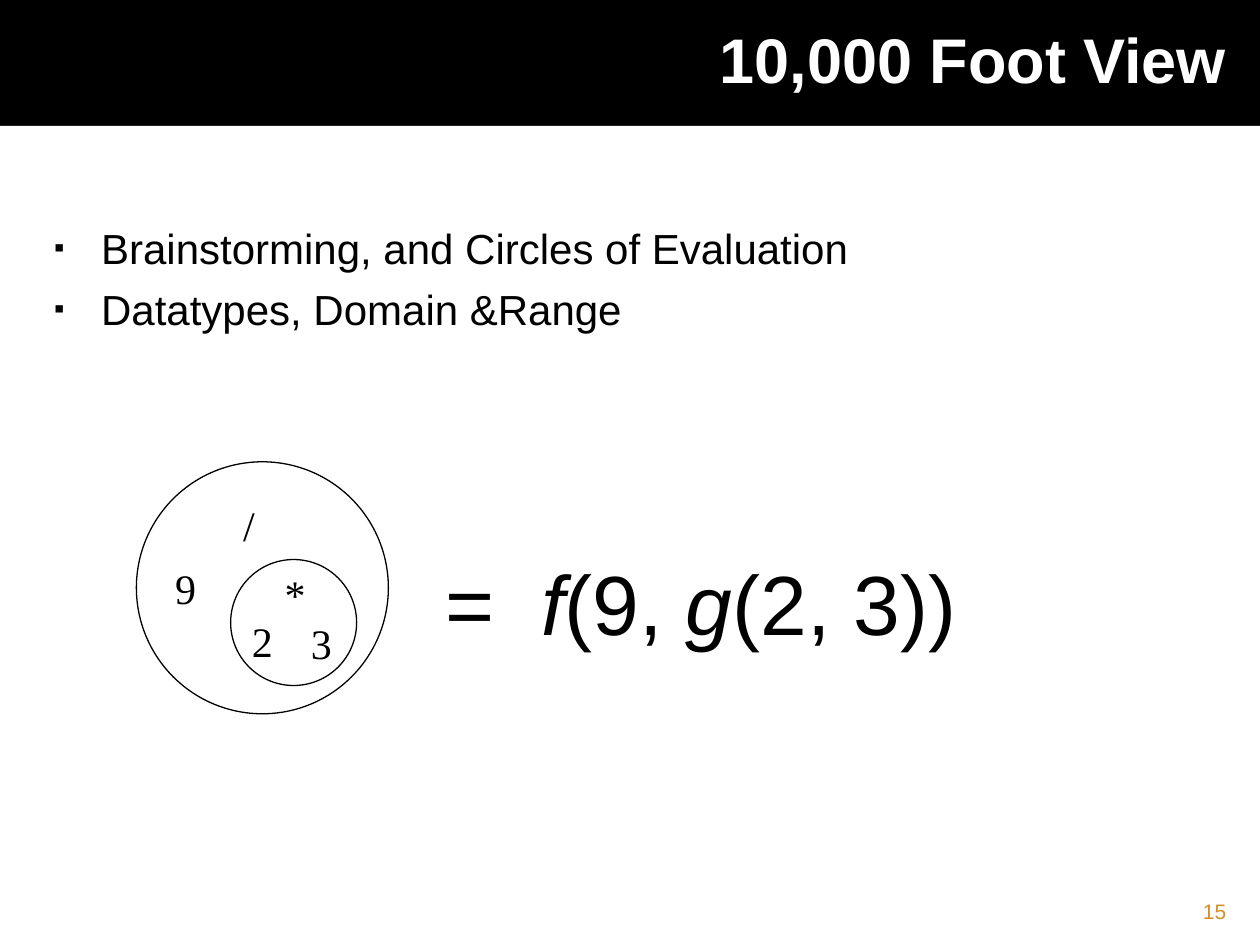
from lxml import etree
from pptx import Presentation
from pptx.dml.color import RGBColor
from pptx.enum.shapes import MSO_SHAPE
from pptx.enum.text import MSO_ANCHOR, PP_ALIGN
from pptx.oxml.ns import qn
from pptx.util import Cm, Pt

RECTANGLE, OVAL = MSO_SHAPE.RECTANGLE, MSO_SHAPE.OVAL
LEFT, RIGHT = PP_ALIGN.LEFT, PP_ALIGN.RIGHT
TOP, MIDDLE = MSO_ANCHOR.TOP, MSO_ANCHOR.MIDDLE
SANS, SERIF = "Arial", "Times New Roman"
COLORS = {"black": "000000", "white": "FFFFFF", "gold": "D38E27"}


def color(name):
    """Return the named colour."""
    return RGBColor.from_string(COLORS[name])


def add_panel(slide, kind, left, top, width, height, outline=None):
    """Add a white shape with an optional thin outline."""
    shape = slide.shapes.add_shape(kind, Cm(left), Cm(top), Cm(width), Cm(height))
    shape.shadow.inherit = False
    shape.fill.solid()
    shape.fill.fore_color.rgb = color("white")
    if outline:
        shape.line.color.rgb = color(outline)
        shape.line.width = Pt(0.75)
    else:
        shape.line.fill.background()


def add_frame(slide, left, top, width, height, anchor=TOP):
    """Add a wrapping text box and return its text frame."""
    frame = slide.shapes.add_textbox(Cm(left), Cm(top), Cm(width), Cm(height)).text_frame
    frame.word_wrap = True
    frame.vertical_anchor = anchor
    return frame


def style(paragraph, size, ink="black", font=SANS, bold=False, align=LEFT):
    """Set the font and alignment of a paragraph."""
    paragraph.alignment = align
    paragraph.font.name = font
    paragraph.font.size = Pt(size)
    paragraph.font.bold = bold
    paragraph.font.color.rgb = color(ink)


def add_bullets(frame, lines):
    """Fill a frame with small square bullets."""
    for index, line in enumerate(lines):
        paragraph = frame.add_paragraph() if index else frame.paragraphs[0]
        paragraph.text = line
        properties = paragraph._p.get_or_add_pPr()
        properties.set("marL", str(Cm(0.95)))
        properties.set("indent", str(Cm(-0.95)))
        bullet_color = etree.SubElement(properties, qn("a:buClr"))
        etree.SubElement(bullet_color, qn("a:srgbClr"), val=COLORS["black"])
        etree.SubElement(properties, qn("a:buSzPct"), val="70000")
        etree.SubElement(properties, qn("a:buFont"), typeface=SANS)
        etree.SubElement(properties, qn("a:buChar"), char="▪")
        paragraph.space_before = Pt(6 if index else 0)
        style(paragraph, 24)


def add_symbol(slide, text, left, top):
    """Add one number or operator of the circles of evaluation."""
    frame = add_frame(slide, left, top, 0.82, 1.1)
    frame.margin_left = frame.margin_right = frame.margin_top = frame.margin_bottom = 0
    frame.paragraphs[0].text = text
    style(frame.paragraphs[0], 24, font=SERIF)


def add_formula(slide):
    """Add the function notation, with italic function names."""
    frame = add_frame(slide, 8.26, 11, 11.86, 2.31)
    frame.margin_left = Cm(0.72)
    paragraph = frame.paragraphs[0]
    tabs = etree.SubElement(paragraph._p.get_or_add_pPr(), qn("a:tabLst"))
    etree.SubElement(tabs, qn("a:tab"), pos=str(Cm(1.93)), algn="l")
    style(paragraph, 48)
    for text in ("=\t", "f", "(9, ", "g", "(2, 3))"):
        run = paragraph.add_run()
        run.text = text
        run.font.italic = text.isalpha()


def main():
    """Build the slide and save it."""
    presentation = Presentation()
    presentation.slide_width, presentation.slide_height = Cm(25.4), Cm(19.05)
    slide = presentation.slides.add_slide(presentation.slide_layouts[6])
    slide.background.fill.solid()
    slide.background.fill.fore_color.rgb = color("black")
    add_panel(slide, RECTANGLE, 0, 2.54, 25.4, 16.51)

    title = add_frame(slide, 0.84, 0, 24.13, 2.34, MIDDLE).paragraphs[0]
    title.text = "10,000 Foot View"
    style(title, 36, "white", bold=True, align=RIGHT)

    body = add_frame(slide, 0.84, 4.36, 24.13, 12.57)
    add_bullets(body, ["Brainstorming, and Circles of Evaluation",
                       "Datatypes, Domain &Range"])

    for left, top, diameter in ((2.75, 9.31, 5.08), (4.65, 11.28, 2.54)):
        add_panel(slide, OVAL, left, top, diameter, diameter, "black")
    for text, left, top in (("/", 4.9, 10.08), ("9", 3.53, 11.35), ("*", 5.74, 11.46),
                            ("2", 5.08, 12.4), ("3", 6.27, 12.45)):
        add_symbol(slide, text, left, top)
    add_formula(slide)

    number = add_frame(slide, 22.86, 17.98, 2.11, 0.69).paragraphs[0]
    number.text = "15"
    style(number, 12, "gold", align=RIGHT)
    presentation.save("out.pptx")


if __name__ == "__main__":
    main()
